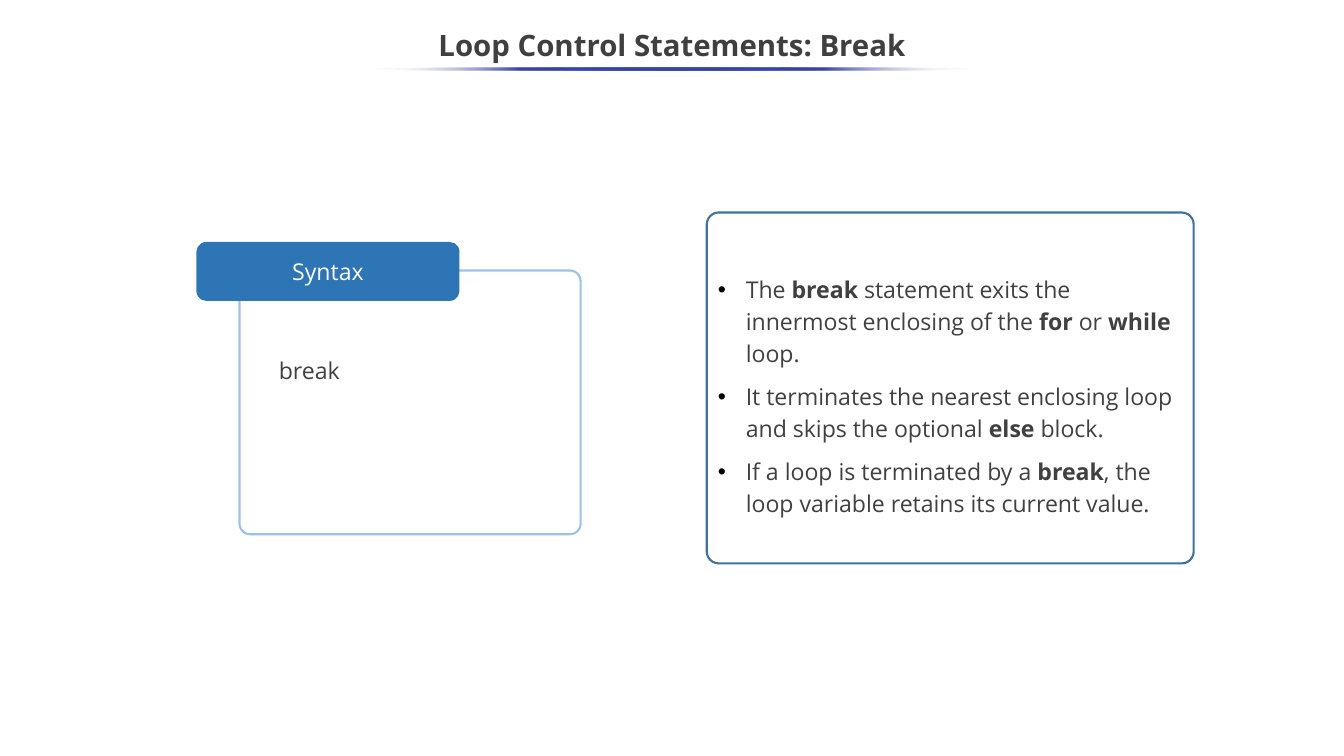
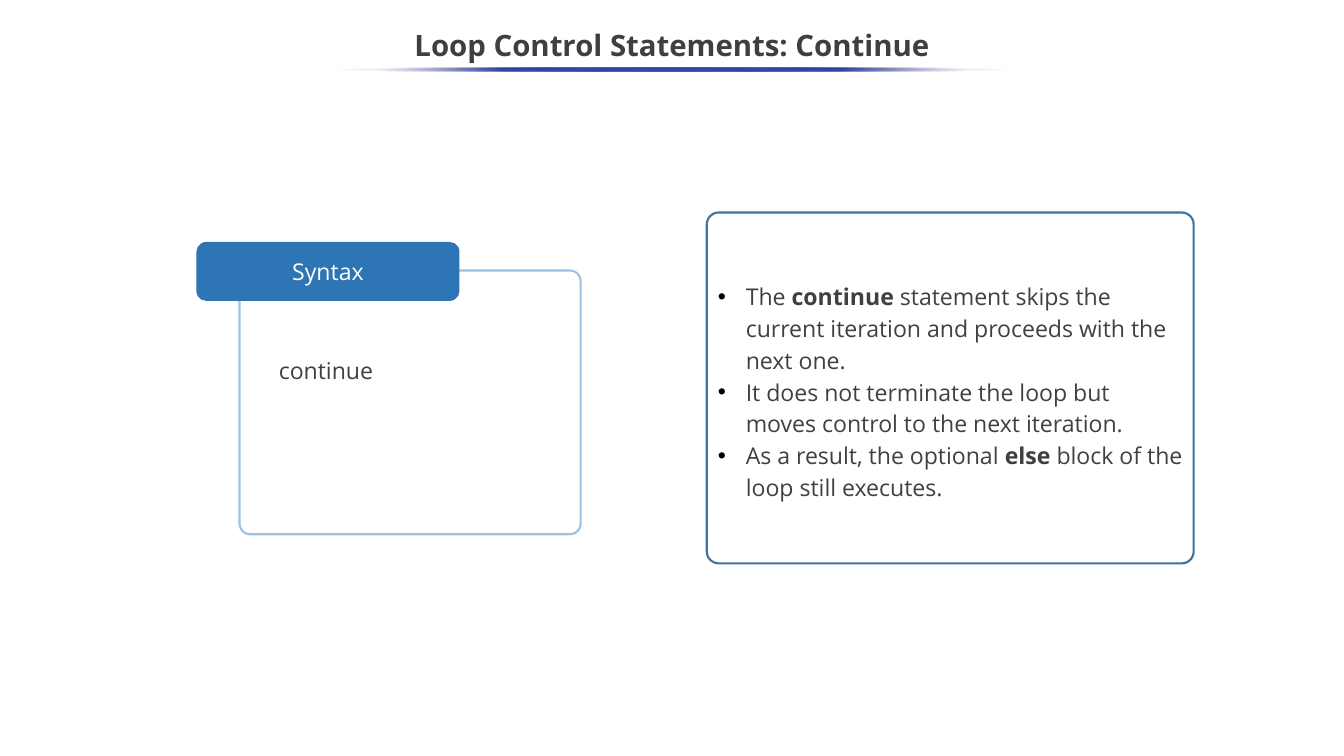
import dataclasses
import typing

import lxml.etree
import pptx
import pptx.dml.color
import pptx.enum.shapes
import pptx.enum.text
import pptx.oxml.ns
import pptx.util

Cm = pptx.util.Cm
Pt = pptx.util.Pt
RGB = pptx.dml.color.RGBColor
ALIGN = pptx.enum.text.PP_ALIGN
MIDDLE = pptx.enum.text.MSO_ANCHOR.MIDDLE
SHAPES = pptx.enum.shapes.MSO_SHAPE

WIDE, HIGH = 45.16, 25.4
FONT = "Open Sans"
HEAD = RGB(0x3F, 0x3F, 0x3F)
INK = RGB(0x40, 0x40, 0x40)
WHITE = RGB(0xFF, 0xFF, 0xFF)
BLACK = RGB(0, 0, 0)
EDGE = RGB(0x42, 0x71, 0x9B)
PALE = RGB(0x9C, 0xC2, 0xE5)
BLUE = RGB(0x2E, 0x75, 0xB5)
GLOW = RGB(0x36, 0x45, 0xA9)
INDENT = Cm(0.94)


@dataclasses.dataclass(frozen=True)
class Box:
    left: float
    top: float
    width: float
    height: float

    def lengths(self) -> list[pptx.util.Length]:
        return [Cm(v) for v in dataclasses.astuple(self)]


@dataclasses.dataclass(frozen=True)
class Rule:
    """A glowing line centred below the title."""
    width: float
    top: float = 2.26


@dataclasses.dataclass(frozen=True)
class Page:
    title: str
    code: str
    points: list[str]  # *bold* words stand between asterisks
    rules: list[Rule]
    gap: float = 0  # points between list items
    inset: float = 0.25  # top margin of the list


TITLE = Box(-0.03, 0.64, 45.21, 1.9)
PANEL = Box(23.75, 7.14, 16.36, 11.79)
FRAME = Box(8.05, 9.09, 11.46, 8.86)
LABEL = Box(6.6, 8.13, 8.84, 1.98)
CODE = Box(9.12, 11.71, 8.2, 1.35)

PAGES = [
    Page(
        "Loop Control Statements: Break",
        "break",
        [
            "The *break* statement exits the innermost enclosing of the "
            "*for* or *while *loop.",
            "It terminates the nearest enclosing loop and skips the optional "
            "*else* block.",
            "If a loop is terminated by a *break*, the loop variable retains "
            "its current value.",
        ],
        [Rule(20.29)],
        gap=10.7,
        inset=0.56,
    ),
    Page(
        "Loop Control Statements: Continue",
        "continue",
        [
            "The *continue* statement skips the current iteration and "
            "proceeds with the next one.",
            "It does not terminate the loop but moves control to the next "
            "iteration.",
            "As a result, the optional *else* block of the loop still "
            "executes.",
        ],
        [Rule(22.28), Rule(22.66, 2.29)],
    ),
]


def assign(item: typing.Any, form: dict[str, typing.Any]) -> None:
    for key, value in form.items():
        setattr(item, key, value)


def node(parent: typing.Any, tag: str, **attrs: str) -> typing.Any:
    return lxml.etree.SubElement(parent, pptx.oxml.ns.qn(tag), attrs)


def place(item: typing.Any, box: Box) -> None:
    assign(item, dict(zip(("left", "top", "width", "height"), box.lengths())))


def write(para: typing.Any, text: str, color: RGB, size: float = 22,
          bold: bool = False) -> None:
    """Add runs, with the parts between asterisks in bold."""
    for i, part in enumerate(text.split("*")):
        if part:
            run = para.add_run()
            run.text = part
            assign(run.font, {"name": FONT, "size": Pt(size),
                              "bold": bold or i % 2 == 1})
            run.font.color.rgb = color


def outline(shape: typing.Any, color: RGB) -> None:
    shape.fill.background()
    shape.line.color.rgb = color
    shape.line.width = Pt(2)


def add_round(shapes: typing.Any, box: Box, curve: float) -> typing.Any:
    shape = shapes.add_shape(SHAPES.ROUNDED_RECTANGLE, *box.lengths())
    shape.adjustments[0] = curve
    shape.shadow.inherit = False
    return shape


def add_title(slide: typing.Any, text: str) -> None:
    title = slide.shapes.title
    place(title, TITLE)
    title.text_frame.vertical_anchor = MIDDLE
    para = title.text_frame.paragraphs[0]
    assign(para, {"alignment": ALIGN.CENTER, "line_spacing": 0.9})
    write(para, text, HEAD, 28, True)


def bullet(para: typing.Any) -> None:
    props = para._p.get_or_add_pPr()
    props.set("marL", str(INDENT))
    props.set("indent", str(-INDENT))
    node(node(props, "a:buClr"), "a:srgbClr", val=str(BLACK))
    node(props, "a:buFont", typeface="Arial")
    node(props, "a:buChar", char="•")


def add_list(slide: typing.Any, page: Page) -> None:
    body = slide.placeholders[1]
    place(body, PANEL)
    geom = node(body.element.spPr, "a:prstGeom", prst="roundRect")
    node(node(geom, "a:avLst"), "a:gd", name="adj", fmla="val 3400")
    outline(body, EDGE)
    frame = body.text_frame
    assign(frame, {"vertical_anchor": MIDDLE, "word_wrap": True,
                   "auto_size": pptx.enum.text.MSO_AUTO_SIZE.NONE,
                   "margin_top": Cm(page.inset)})
    for i, point in enumerate(page.points):
        para = frame.add_paragraph() if i else frame.paragraphs[0]
        bullet(para)
        assign(para, {"alignment": ALIGN.LEFT, "line_spacing": 1.15,
                      "space_before": Pt(page.gap if i else 0)})
        write(para, point, INK)


def add_syntax(slide: typing.Any, code: str) -> None:
    group = slide.shapes.add_group_shape().shapes
    outline(add_round(group, FRAME, 0.04), PALE)

    label = add_round(group, LABEL, 0.167)
    label.fill.solid()
    label.fill.fore_color.rgb = BLUE
    label.line.fill.background()
    label.text_frame.vertical_anchor = MIDDLE
    para = label.text_frame.paragraphs[0]
    para.alignment = ALIGN.CENTER
    write(para, "Syntax", WHITE)

    frame = group.add_textbox(*CODE.lengths()).text_frame
    frame.word_wrap = True
    para = frame.paragraphs[0]
    para.line_spacing = 1.15
    write(para, code, INK)


def add_rule(slide: typing.Any, rule: Rule) -> None:
    box = Box((WIDE - rule.width) / 2, rule.top, rule.width, 0.1)
    shape = slide.shapes.add_shape(SHAPES.OVAL, *box.lengths())
    shape.shadow.inherit = False
    shape.line.fill.background()
    shape.fill.gradient()
    shape.fill.gradient_angle = 0
    stops = shape.element.spPr.find(".//" + pptx.oxml.ns.qn("a:gsLst"))
    for stop in list(stops):
        stops.remove(stop)
    for spot in range(0, 101, 25):
        clear = spot in (0, 100)
        stop = node(stops, "a:gs", pos=str(spot * 1000))
        color = node(stop, "a:srgbClr", val=str(WHITE if clear else GLOW))
        if clear:
            node(color, "a:alpha", val="0")


def main() -> None:
    deck = pptx.Presentation()
    assign(deck, {"slide_width": Cm(WIDE), "slide_height": Cm(HIGH)})
    for page in PAGES:
        slide = deck.slides.add_slide(deck.slide_layouts[1])
        add_title(slide, page.title)
        add_list(slide, page)
        add_syntax(slide, page.code)
        for rule in page.rules:
            add_rule(slide, rule)
    deck.save("out.pptx")


if __name__ == "__main__":
    main()
